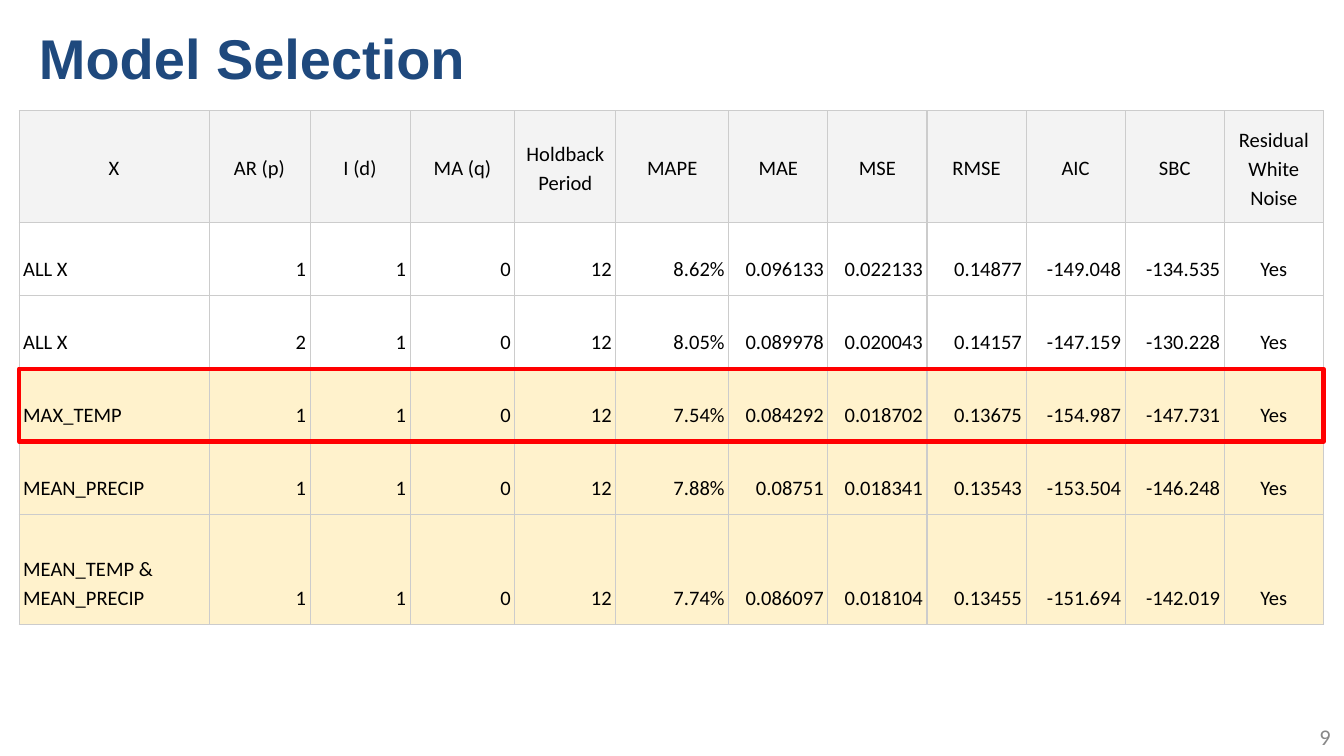
"""Build the Model Selection slide: a table of model scores with the best row framed."""
from pptx import Presentation
from pptx.dml.color import RGBColor
from pptx.enum.shapes import MSO_SHAPE
from pptx.enum.text import MSO_ANCHOR, PP_ALIGN
from pptx.oxml import parse_xml
from pptx.oxml.ns import nsdecls
from pptx.util import Pt


def paint(part, color):
    part.rgb = RGBColor.from_string(color)


def style(frame, align, color, space, font, box):
    for name, value in box.items():
        setattr(frame, name, value)
    for para in frame.paragraphs:
        para.alignment, para.line_spacing = align, space
        for name, value in font.items():
            setattr(para.font, name, value)
        paint(para.font.color, color)


LEFT, CENTER, RIGHT = PP_ALIGN.LEFT, PP_ALIGN.CENTER, PP_ALIGN.RIGHT
deck = Presentation()
deck.slide_width, deck.slide_height = Pt(720), Pt(405)
slide = deck.slides.add_slide(deck.slide_layouts[5])

title = slide.shapes.title
title.left, title.top, title.width, title.height = Pt(13.7), Pt(0), Pt(699), Pt(51)
title.text_frame.text = "Model Selection"
style(title.text_frame, LEFT, "1F497D", 1.15,
      {"name": "Arial", "size": Pt(30), "bold": True},
      {"vertical_anchor": MSO_ANCHOR.TOP, "word_wrap": True,
       "margin_left": Pt(7.2), "margin_right": Pt(7.2),
       "margin_top": Pt(7.2), "margin_bottom": Pt(7.2)})

number = slide.shapes.add_textbox(Pt(552), Pt(384), Pt(168), Pt(21.6))
number.text_frame.text = "9"
style(number.text_frame, RIGHT, "888888", 1.0,
      {"name": "Calibri", "size": Pt(12)},
      {"vertical_anchor": MSO_ANCHOR.MIDDLE, "word_wrap": True})

rows = [
    ["X", "AR (p)", "I (d)", "MA (q)", "Holdback Period", "MAPE", "MAE", "MSE",
     "RMSE", "AIC", "SBC", "Residual\nWhite Noise"],
    ["ALL X", "1", "1", "0", "12", "8.62%", "0.096133", "0.022133",
     "0.14877", "-149.048", "-134.535", "Yes"],
    ["ALL X", "2", "1", "0", "12", "8.05%", "0.089978", "0.020043",
     "0.14157", "-147.159", "-130.228", "Yes"],
    ["MAX_TEMP", "1", "1", "0", "12", "7.54%", "0.084292", "0.018702",
     "0.13675", "-154.987", "-147.731", "Yes"],
    ["MEAN_PRECIP", "1", "1", "0", "12", "7.88%", "0.08751", "0.018341",
     "0.13543", "-153.504", "-146.248", "Yes"],
    ["MEAN_TEMP & MEAN_PRECIP", "1", "1", "0", "12", "7.74%", "0.086097", "0.018104",
     "0.13455", "-151.694", "-142.019", "Yes"],
]
left, top = 10.2, 59.3
widths = [101.8, 54.1, 53.6, 56.2, 54.1, 60.5] + [53.1] * 6
heights = [60] + [39.1] * 4 + [59]
fills = ["F3F3F3", None, None] + ["FFF2CC"] * 3
aligns = [LEFT] + [RIGHT] * 10 + [CENTER]
font = {"name": "Calibri", "size": Pt(11), "bold": False}
pads = {"margin_left": Pt(2.2), "margin_right": Pt(2.2),
        "margin_top": Pt(7.2), "margin_bottom": Pt(7.2)}

table = slide.shapes.add_table(len(rows), len(widths), Pt(left), Pt(top),
                               Pt(sum(widths)), Pt(sum(heights))).table
table.first_row = table.horz_banding = False
for col, width in zip(table.columns, widths):
    col.width = Pt(width)
for r, (texts, height, fill) in enumerate(zip(rows, heights, fills)):
    table.rows[r].height = Pt(height)
    for c, text in enumerate(texts):
        cell = table.cell(r, c)
        cell.text = text
        cell.vertical_anchor = MSO_ANCHOR.BOTTOM if r else MSO_ANCHOR.MIDDLE
        for name, value in pads.items():
            setattr(cell, name, value)
        style(cell.text_frame, aligns[c] if r else CENTER, "000000", 1.15, font, {})
        props = cell._tc.get_or_add_tcPr()
        for side in ("lnL", "lnR", "lnT", "lnB"):
            props.append(parse_xml(
                f'<a:{side} {nsdecls("a")} w="{Pt(0.62)}"><a:solidFill>'
                f'<a:srgbClr val="CCCCCC"/></a:solidFill></a:{side}>'))
        if fill:
            cell.fill.solid()
            paint(cell.fill.fore_color, fill)
        else:
            cell.fill.background()

best = 3
frame = slide.shapes.add_shape(MSO_SHAPE.RECTANGLE, Pt(left), Pt(top + sum(heights[:best])),
                               Pt(sum(widths)), Pt(heights[best]))
frame.shadow.inherit = False
frame.fill.background()
frame.line.width = Pt(2.25)
paint(frame.line.color, "FF0000")

deck.save("out.pptx")
